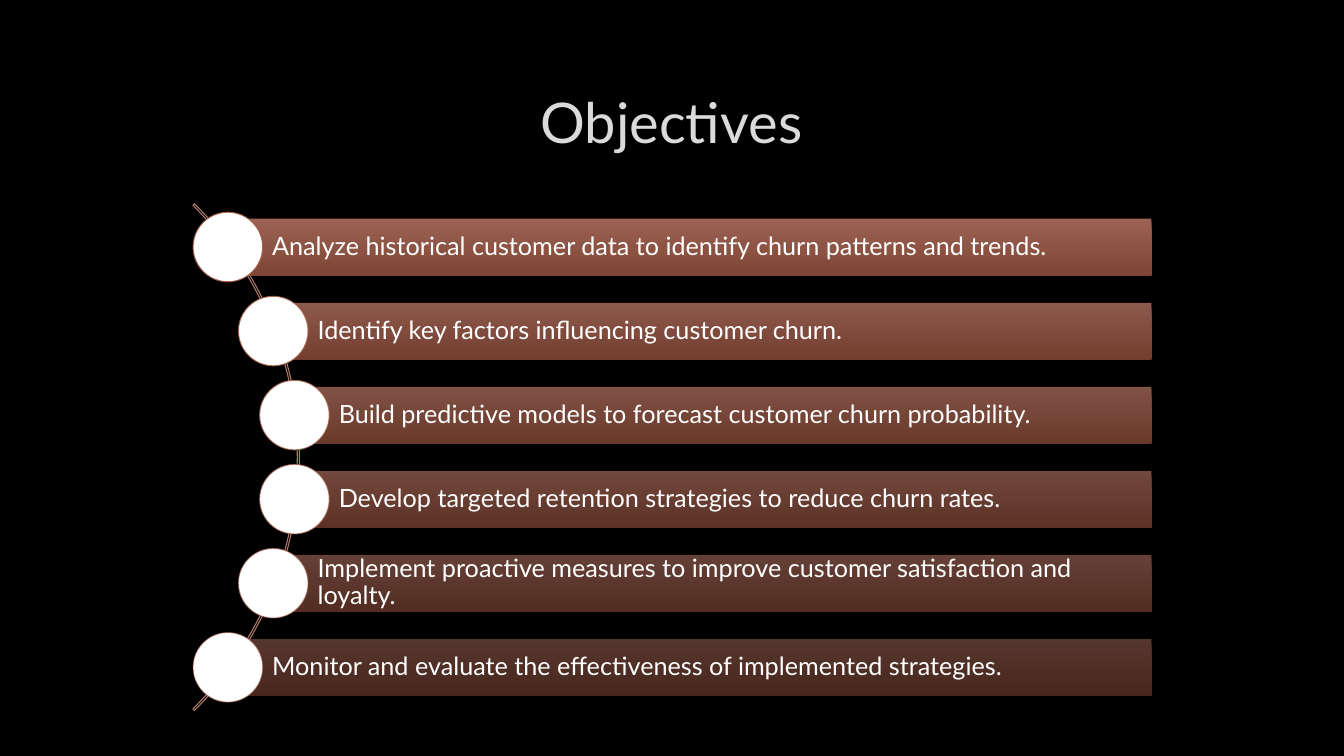
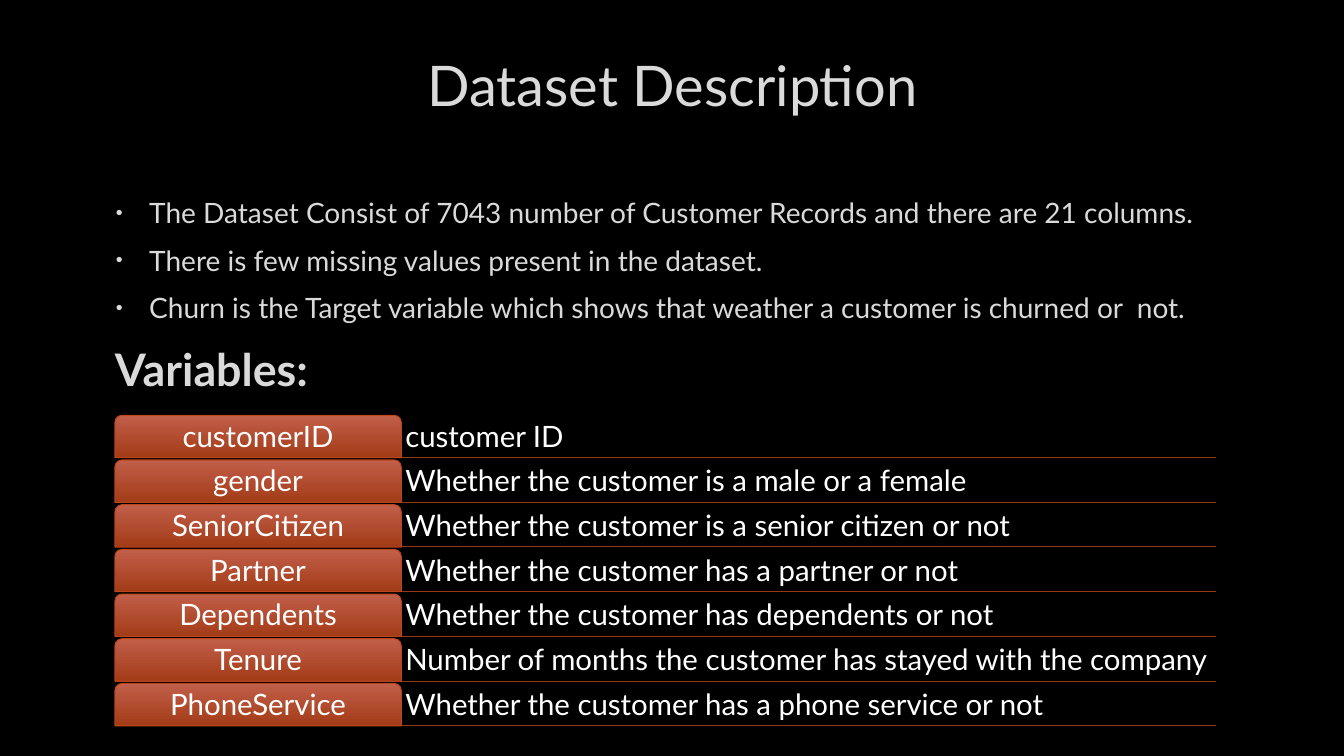
import dataclasses

import lxml.etree
import pptx
import pptx.dml.color
import pptx.enum.shapes
import pptx.enum.text
import pptx.oxml.ns
import pptx.util

Inches = pptx.util.Inches
Pt = pptx.util.Pt
Color = pptx.dml.color.RGBColor.from_string
Shape = pptx.enum.shapes.MSO_SHAPE
Anchor = pptx.enum.text.MSO_ANCHOR
Align = pptx.enum.text.PP_ALIGN
qn = pptx.oxml.ns.qn


@dataclasses.dataclass(frozen=True)
class Theme:
    font: str = "Lato"
    background: str = "000000"
    heading: str = "DADADA"
    white: str = "FFFFFF"
    arc: str = "B17A6D"
    dot_line: str = "A55A43"
    bar: tuple = ("AD6E5E", "8E4D3A")
    label: tuple = ("C25F4A", "A23B17")
    label_line: str = "BC451B"
    rule: str = "973716"
    title_size: int = 40
    subheading_size: int = 32
    variable_size: int = 21
    list_size: int = 20
    bar_size: int = 18
    line_width: float = 0.75


def spread(first, last, count):
    """Positions at equal steps from first to last."""
    return [first + (last - first) * index / (count - 1) for index in range(count)]


def add_xml(parent, tag, **attributes):
    return lxml.etree.SubElement(parent, qn(tag), attributes)


class Deck:
    """Holds the style and the current slide."""

    def __init__(self, theme):
        self.theme = theme
        self.slide = None
        self.presentation = pptx.Presentation()
        self.presentation.slide_width = Inches(13.33)
        self.presentation.slide_height = Inches(7.5)
        fill = self.presentation.slide_master.background.fill
        fill.solid()
        fill.fore_color.rgb = Color(theme.background)

    def add_slide(self, layout_name, title, left, top):
        layout = self.presentation.slide_layouts.get_by_name(layout_name)
        self.slide = self.presentation.slides.add_slide(layout)
        shape = self.slide.shapes.title
        self.place(shape, left, top, 11.32, 1.06)
        self.set_text(shape, title, self.theme.title_size, self.theme.heading,
                      align=Align.CENTER)

    def place(self, shape, left, top, width, height):
        shape.left, shape.top = Inches(left), Inches(top)
        shape.width, shape.height = Inches(width), Inches(height)

    def style(self, paragraph, size, color, bold=False):
        font = paragraph.font
        font.name, font.size, font.bold = self.theme.font, Pt(size), bold
        font.color.rgb = Color(color)

    def set_text(self, shape, text, size, color, align=Align.LEFT,
                 anchor=Anchor.MIDDLE, insets=None, line_spacing=1.0):
        frame = shape.text_frame
        frame.word_wrap = True
        frame.auto_size = pptx.enum.text.MSO_AUTO_SIZE.NONE
        frame.vertical_anchor = anchor
        if insets:
            (frame.margin_left, frame.margin_top,
             frame.margin_right, frame.margin_bottom) = map(Inches, insets)
        paragraph = frame.paragraphs[0]
        paragraph.text = text
        paragraph.alignment = align
        paragraph.line_spacing = line_spacing
        self.style(paragraph, size, color)

    def set_alpha(self, shape, percent):
        for color in shape.element.spPr.iter(qn("a:srgbClr")):
            if color.get("val") != self.theme.white:
                add_xml(color, "a:alpha", val=str(percent * 1000))

    def add_shape(self, kind, box, fill=None, line=None, alpha=None):
        """Fill is a colour, a pair of gradient colours or None."""
        shape = self.slide.shapes.add_shape(kind, *map(Inches, box))
        shape.shadow.inherit = False
        if fill is None:
            shape.fill.background()
        elif isinstance(fill, tuple):
            shape.fill.gradient()
            shape.fill.gradient_angle = 270
            for stop, color in zip(shape.fill.gradient_stops, fill):
                stop.color.rgb = Color(color)
        else:
            shape.fill.solid()
            shape.fill.fore_color.rgb = Color(fill)
        if line:
            shape.line.color.rgb = Color(line)
            shape.line.width = Pt(self.theme.line_width)
        else:
            shape.line.fill.background()
        if alpha:
            self.set_alpha(shape, alpha)
        return shape

    def add_text(self, text, box, size, **options):
        shape = self.slide.shapes.add_textbox(*map(Inches, box))
        self.set_text(shape, text, size, self.theme.white, **options)

    def add_rule(self, left, right, top):
        rule = self.slide.shapes.add_connector(
            pptx.enum.shapes.MSO_CONNECTOR.STRAIGHT,
            Inches(left), Inches(top), Inches(right), Inches(top))
        rule.line.color.rgb = Color(self.theme.rule)
        rule.line.width = Pt(self.theme.line_width)
        add_xml(rule.element.spPr, "a:effectLst")

    def add_list(self, box, items, subheading):
        body = self.slide.placeholders[1]
        self.place(body, *box)
        frame = body.text_frame
        frame.auto_size = pptx.enum.text.MSO_AUTO_SIZE.NONE
        frame.text = "\n".join([*items, subheading])
        for paragraph in frame.paragraphs[:-1]:
            self.format_item(paragraph, self.theme.list_size, bullet=True)
        self.format_item(frame.paragraphs[-1], self.theme.subheading_size, bullet=False)

    def format_item(self, paragraph, size, bullet):
        paragraph.space_before, paragraph.space_after = Pt(size * 0.2), Pt(6)
        properties = paragraph._p.get_or_add_pPr()
        properties.set("marL", str(Inches(0.38 if bullet else 0.04)))
        properties.set("indent", str(Inches(-0.33 if bullet else 0)))
        if bullet:
            color = add_xml(properties, "a:buClr")
            add_xml(color, "a:srgbClr", val=self.theme.heading)
            add_xml(properties, "a:buSzPct", val="70000")
            add_xml(properties, "a:buChar", char="•")
        else:
            add_xml(properties, "a:buNone")
        self.style(paragraph, size, self.theme.heading, bold=not bullet)


def build_objectives(deck):
    theme = deck.theme
    deck.add_slide("Title Only", "Objectives", 1, 0.67)

    # Arc behind the bars
    arc = deck.add_shape(Shape.BLOCK_ARC, (-4.14, 0.98, 7.11, 7.11), line=theme.arc)
    for index, value in enumerate((189, 27, 0.003)):
        arc.adjustments[index] = value

    # Bars with a dot at the left end, fading downwards
    objectives = (
        "Analyze historical customer data to identify churn patterns and trends.",
        "Identify key factors influencing customer churn.",
        "Build predictive models to forecast customer churn probability.",
        "Develop targeted retention strategies to reduce churn rates.",
        "Implement proactive measures to improve customer satisfaction and loyalty.",
        "Monitor and evaluate the effectiveness of implemented strategies.",
    )
    right, bar_height, dot_size = 11.42, 0.56, 0.69
    lefts = (2.26, 2.71, 2.92)
    tops = spread(2.17, 6.34, len(objectives))
    for index, (text, left, top) in enumerate(zip(objectives, lefts + lefts[::-1], tops)):
        alpha = 90 - 8 * index
        bar = deck.add_shape(Shape.RECTANGLE, (left, top, right - left, bar_height),
                             theme.bar, alpha=alpha)
        deck.set_text(bar, text, theme.bar_size, theme.white,
                      insets=(0.44, 0.05, 0.05, 0.05), line_spacing=0.9)
        dot_top = top + (bar_height - dot_size) / 2
        deck.add_shape(Shape.OVAL, (left - dot_size / 2, dot_top, dot_size, dot_size),
                       theme.white, theme.dot_line, alpha)


def build_dataset(deck):
    theme = deck.theme
    deck.add_slide("Title and Content", "Dataset Description", 1.01, 0.3)
    deck.add_list((1, 1.89, 11.44, 4.44), (
        "The Dataset Consist of 7043 number of Customer Records and there are 21 columns.",
        "There is few missing values present in the dataset.",
        "Churn is the Target variable which shows that weather a customer is churned or  not.",
    ), "Variables:")

    # Variable names and their meanings, each row on a rule
    variables = {
        "customerID": "customer ID",
        "gender": "Whether the customer is a male or a female",
        "SeniorCitizen": "Whether the customer is a senior citizen or not",
        "Partner": "Whether the customer has a partner or not",
        "Dependents": "Whether the customer has dependents or not",
        "Tenure": "Number of months the customer has stayed with the company",
        "PhoneService": "Whether the customer has a phone service or not",
    }
    left, middle, right, height = 1.14, 3.98, 12.06, 0.42
    text_style = {"insets": (0.04,) * 4, "line_spacing": 0.9}
    for (name, meaning), top in zip(variables.items(), spread(4.12, 6.78, len(variables))):
        deck.add_rule(left, right, top + height)
        deck.add_text(meaning, (middle, top, right - middle, height),
                      theme.variable_size, anchor=Anchor.BOTTOM, **text_style)
        label = deck.add_shape(Shape.ROUND_2_SAME_RECTANGLE,
                               (left, top, middle - left, height),
                               theme.label, theme.label_line)
        deck.set_text(label, name, theme.variable_size, theme.white,
                      align=Align.CENTER, **text_style)


def main():
    deck = Deck(Theme())
    build_objectives(deck)
    build_dataset(deck)
    deck.presentation.save("out.pptx")


if __name__ == "__main__":
    main()
